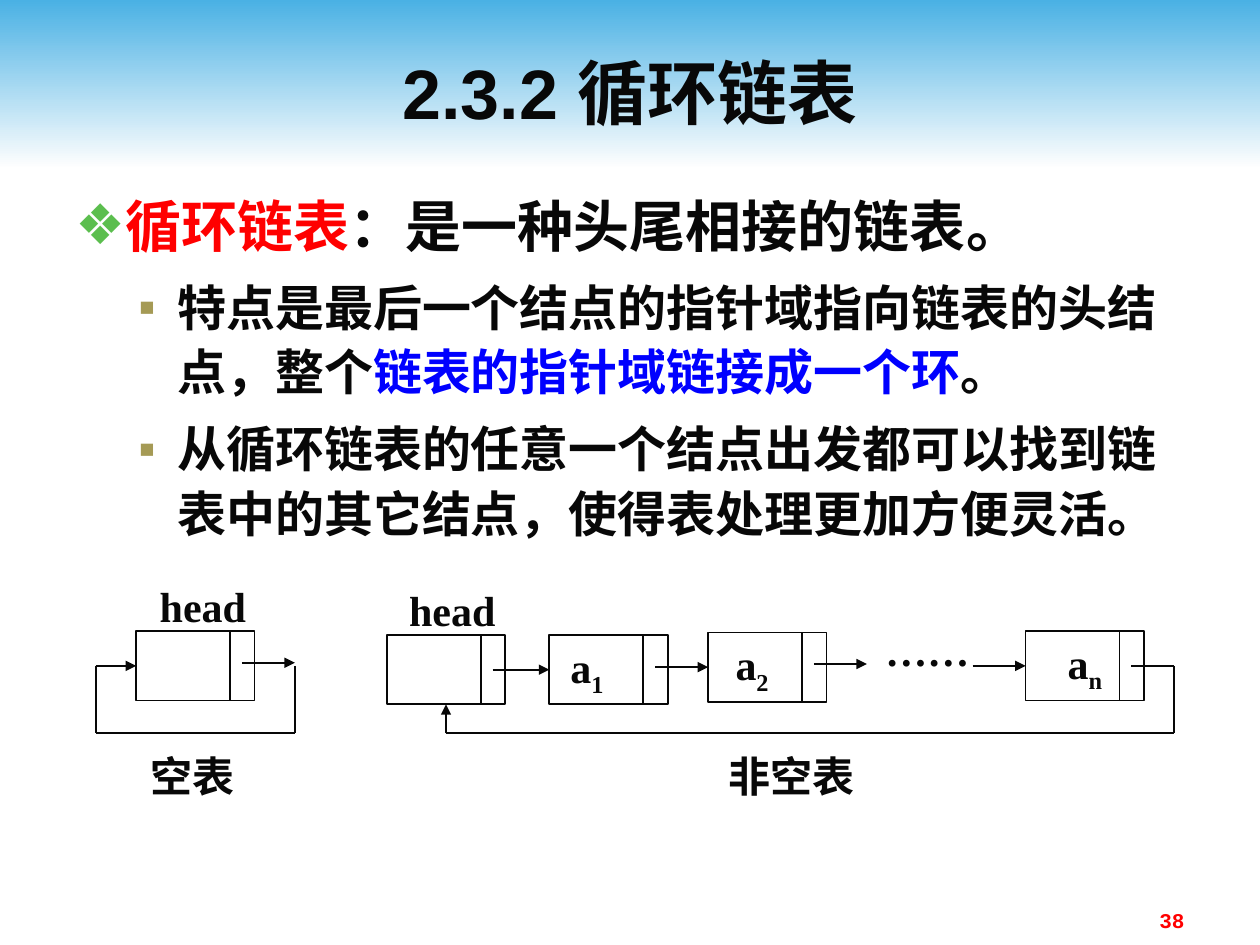
from dataclasses import dataclass
from typing import NamedTuple

from lxml import etree
from pptx import Presentation
from pptx import util as u
from pptx.dml.color import RGBColor
from pptx.enum import shapes, text
from pptx.oxml import ns

COLUMNS, ROWS = 100, 75
CELL = u.Inches(10) // COLUMNS


@dataclass(frozen=True)
class Theme:
    ink: str = "080808"
    red: str = "FF0000"
    blue: str = "0000FF"
    sky: str = "4AB1E4"
    haze: str = "FEFEFE"
    green: str = "5BBE4E"
    khaki: str = "A59A55"
    sans: str = "Arial"
    serif: str = "Times New Roman"
    mono: str = "Courier New"
    cjk: str = "Noto Sans CJK SC"
    title: int = 40
    lead: int = 32
    point: int = 28
    label: int = 24
    number: int = 12
    stroke: int = 1


THEME = Theme()


class Run(NamedTuple):
    words: str
    color: str = THEME.ink
    baseline: int = 0


class Bullet(NamedTuple):
    char: str
    color: str
    left: float
    hang: float


class Item(NamedTuple):
    runs: list[Run]
    size: int
    bullet: Bullet
    before: int


class Area(NamedTuple):
    """Left, top, width and height in grid cells."""
    left: float
    top: float
    width: float
    height: float


class Node(NamedTuple):
    left: float
    top: float
    label: str = ""
    index: str = ""
    label_shift: float = 0


NODE_WIDTH, NODE_HEIGHT = 9.4, 5.5
DIVIDER, LINK_START, LINK_LENGTH = 7.45, 8.4, 4.2
LOOP_ROW = 58.2

DIAMOND = Bullet("❖", THEME.green, 3.8, 3.8)
SQUARE = Bullet("▪", THEME.khaki, 8.1, 3.1)
ITEMS = [
    Item([Run("循环链表", THEME.red), Run("：是一种头尾相接的链表。")],
         THEME.lead, DIAMOND, 0),
    Item([Run("特点是最后一个结点的指针域指向链表的头结点，整个"),
          Run("链表的指针域链接成一个环", THEME.blue), Run("。")],
         THEME.point, SQUARE, 7),
    Item([Run("从循环链表的任意一个结点出发都可以找到链表中的其它结点，"
              "使得表处理更加方便灵活。")],
         THEME.point, SQUARE, 7),
]


def cells(count: float) -> int:
    return round(count * CELL)


def apply(target, **values) -> None:
    for name, value in values.items():
        setattr(target, name, value)


def add_runs(paragraph, runs: list[Run], size: int, face: str) -> None:
    for item in runs:
        run = paragraph.add_run()
        run.text = item.words
        apply(run.font, size=u.Pt(size), bold=True, name=face)
        run.font.color.rgb = RGBColor.from_string(item.color)
        props = run.font._element
        etree.SubElement(props, ns.qn("a:ea"), typeface=THEME.cjk)
        if item.baseline:
            props.set("baseline", str(item.baseline * 1000))


def add_text(slide, area: Area, runs: list[Run], size: int, face: str,
             align=text.PP_ALIGN.CENTER, anchor=text.MSO_ANCHOR.MIDDLE,
             wrap: bool = False) -> None:
    frame = slide.shapes.add_textbox(*map(cells, area)).text_frame
    apply(frame, word_wrap=wrap, vertical_anchor=anchor)
    frame.paragraphs[0].alignment = align
    add_runs(frame.paragraphs[0], runs, size, face)


def set_bullet(paragraph, bullet: Bullet) -> None:
    props = paragraph._p.get_or_add_pPr()
    props.set("marL", str(cells(bullet.left)))
    props.set("indent", str(-cells(bullet.hang)))
    color = etree.SubElement(props, ns.qn("a:buClr"))
    etree.SubElement(color, ns.qn("a:srgbClr"), val=bullet.color)
    etree.SubElement(props, ns.qn("a:buFont"), typeface=THEME.sans)
    etree.SubElement(props, ns.qn("a:buChar"), char=bullet.char)


def add_items(slide, area: Area, items: list[Item]) -> None:
    frame = slide.shapes.add_textbox(*map(cells, area)).text_frame
    frame.word_wrap = True
    for order, item in enumerate(items):
        paragraph = frame.add_paragraph() if order else frame.paragraphs[0]
        set_bullet(paragraph, item.bullet)
        apply(paragraph, level=int(item.bullet is SQUARE),
              line_spacing=1.1, space_before=u.Pt(item.before))
        add_runs(paragraph, item.runs, item.size, THEME.sans)


def add_line(slide, x1: float, y1: float, x2: float, y2: float, arrow: bool = False):
    line = slide.shapes.add_connector(
        shapes.MSO_CONNECTOR.STRAIGHT, *map(cells, (x1, y1, x2, y2)))
    line.line.width = u.Pt(THEME.stroke)
    line.line.color.rgb = RGBColor.from_string(THEME.ink)
    if arrow:
        etree.SubElement(line.line._get_or_add_ln(), ns.qn("a:tailEnd"), type="triangle")
    etree.SubElement(line._element.spPr, ns.qn("a:effectLst"))
    return line


def add_node(slide, node: Node):
    box = slide.shapes.add_shape(
        shapes.MSO_SHAPE.RECTANGLE,
        *map(cells, (node.left, node.top, NODE_WIDTH, NODE_HEIGHT)))
    box.shadow.inherit = False
    box.fill.background()
    box.line.width = u.Pt(THEME.stroke)
    box.line.color.rgb = RGBColor.from_string(THEME.ink)
    if node.label:
        frame = box.text_frame
        apply(frame, word_wrap=False, vertical_anchor=text.MSO_ANCHOR.MIDDLE,
              margin_right=cells(1 + 2 * node.label_shift))
        frame.paragraphs[0].alignment = text.PP_ALIGN.CENTER
        add_runs(frame.paragraphs[0], [Run(node.label), Run(node.index, baseline=-25)],
                 THEME.label, THEME.serif)
    divider = node.left + DIVIDER
    add_line(slide, divider, node.top, divider, node.top + NODE_HEIGHT)
    return box


def middle_row(node: Node) -> float:
    return node.top + NODE_HEIGHT / 2


def add_open_link(slide, node: Node) -> None:
    """Arrow out of a pointer field that reaches no node."""
    start, row = node.left + LINK_START, node.top + 2.5
    add_line(slide, start, row, start + LINK_LENGTH, row, arrow=True)


def add_entry(slide, start: float, node: Node, box) -> None:
    """Level arrow joined to the left side of a node."""
    row = middle_row(node)
    add_line(slide, start, row, node.left, row, arrow=True).end_connect(box, 1)


def add_banner(slide) -> None:
    banner = slide.shapes.add_shape(shapes.MSO_SHAPE.RECTANGLE, 0, 0,
                                    cells(COLUMNS), cells(13.3))
    banner.shadow.inherit = False
    banner.line.fill.background()
    banner.fill.gradient()
    banner.fill.gradient_angle = 270
    for stop, color, place in zip(banner.fill.gradient_stops,
                                  (THEME.sky, THEME.haze), (0, 1)):
        stop.color.rgb = RGBColor.from_string(color)
        stop.position = place


def draw_empty_list(slide) -> None:
    head = Node(10.8, 50.1)
    box = add_node(slide, head)
    add_open_link(slide, head)
    left, right, row = 7.6, 23.4, middle_row(head)
    add_line(slide, right, row, right, LOOP_ROW)
    add_line(slide, left, LOOP_ROW, right, LOOP_ROW)
    add_line(slide, left, row, left, LOOP_ROW)
    add_entry(slide, left, head, box)


def draw_filled_list(slide) -> None:
    head, first = Node(30.7, 50.4), Node(43.6, 50.4, "a", "1", 1.7)
    second, last = Node(56.2, 50.2, "a", "2", 1.2), Node(81.4, 50.1, "a", "n")
    boxes = {node: add_node(slide, node) for node in (head, first, second, last)}
    for start, node in ((head.left + LINK_START, first),
                        (first.left + LINK_START, second), (77.2, last)):
        add_entry(slide, start, node, boxes[node])
    add_open_link(slide, second)
    row, right, middle = middle_row(last), 93.2, head.left + NODE_WIDTH / 2
    add_line(slide, last.left + LINK_START, row, right, row)
    add_line(slide, right, row, right, LOOP_ROW)
    add_line(slide, middle, LOOP_ROW, right, LOOP_ROW)
    add_line(slide, middle, LOOP_ROW, middle, head.top + NODE_HEIGHT,
             arrow=True).end_connect(boxes[head], 2)


def main() -> None:
    deck = Presentation()
    apply(deck, slide_width=cells(COLUMNS), slide_height=cells(ROWS))
    slide = deck.slides.add_slide(deck.slide_layouts[6])
    add_banner(slide)
    add_text(slide, Area(5, 2.5, 90, 9.5), [Run("2.3.2 循环链表")],
             THEME.title, THEME.sans, wrap=True)
    add_items(slide, Area(5, 14.2, 90, 55), ITEMS)
    draw_empty_list(slide)
    draw_filled_list(slide)
    for words, area in (
        ("空表", Area(10.8, 59.2, 9, 4.7)), ("非空表", Area(56.8, 59.2, 12, 4.7)),
        ("……", Area(68.9, 49.2, 9.4, 4.7)),
        ("head", Area(11.5, 45.6, 9.2, 5)), ("head", Area(31.3, 45.9, 9.2, 5)),
    ):
        add_text(slide, area, [Run(words)], THEME.label, THEME.serif)
    add_text(slide, Area(71.7, 71.5, 23.3, 2.7), [Run("38", THEME.red)], THEME.number,
             THEME.mono, text.PP_ALIGN.RIGHT, text.MSO_ANCHOR.TOP, wrap=True)
    deck.save("out.pptx")


if __name__ == "__main__":
    main()
